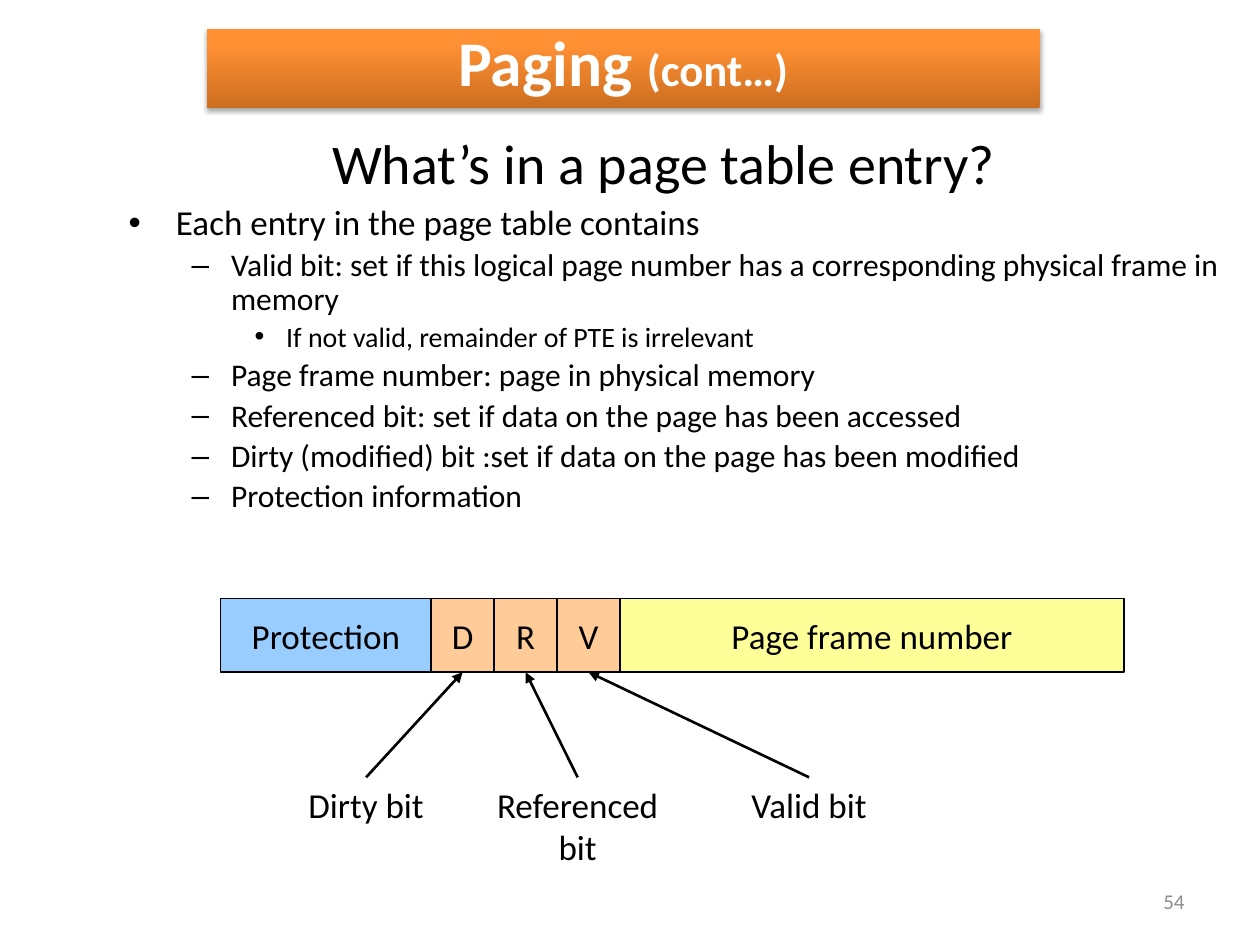
from copy import deepcopy
from dataclasses import dataclass

from lxml.etree import SubElement
from pptx import Presentation
from pptx.dml.color import RGBColor
from pptx.enum.shapes import MSO_CONNECTOR, MSO_SHAPE
from pptx.enum.text import MSO_ANCHOR, MSO_AUTO_SIZE, PP_ALIGN
from pptx.oxml.ns import qn
from pptx.util import Cm, Pt


@dataclass(frozen=True)
class Theme:
    font: str = "Calibri"
    ink: str = "000000"
    paper: str = "FFFFFF"
    muted: str = "8C8C8C"
    blue: str = "99CCFF"
    peach: str = "FFCC99"
    yellow: str = "FFFF99"
    glow: tuple = ((0, "CC6E20"), (0.8, "FF9034"), (1, "FF9136"))
    banner: float = 36.3
    cont: float = 25.6
    title: int = 32
    levels: tuple = (20, 18, 16)
    label: int = 20
    foot: int = 12


THEME = Theme()

POINTS = [
    (0, "Each entry in the page table contains"),
    (1, "Valid bit: set if this logical page number has a corresponding "
        "physical frame in memory"),
    (2, "If not valid, remainder of PTE is irrelevant"),
    (1, "Page frame number: page in physical memory"),
    (1, "Referenced bit: set if data on the page has been accessed"),
    (1, "Dirty (modified) bit :set if data on the page has been modified"),
    (1, "Protection information"),
]
FIELDS = [  # text, width in cm, fill
    ("Protection", 4.24, THEME.blue),
    ("D", 1.27, THEME.peach),
    ("R", 1.27, THEME.peach),
    ("V", 1.27, THEME.peach),
    ("Page frame number", 10.16, THEME.yellow),
]
NOTES = [  # field, text, left from the row, width, side inset in cm
    ("D", "Dirty bit", 1.47, 2.92, 0.25),
    ("R", "Referenced bit", 4.87, 4.65, 0.5),
    ("V", "Valid bit", 10.36, 3, 0.25),
]


def apply(item, **values):
    for name, value in values.items():
        setattr(item, name, value)


def place(shape, box):
    names = ("left", "top", "width", "height")
    apply(shape, **{name: Cm(part) for name, part in zip(names, box)})


def write(par, text, size, color=THEME.ink, bold=False):
    run = par.add_run()
    run.text = text
    apply(run.font, name=THEME.font, size=Pt(size), bold=bold)
    run.font.color.rgb = RGBColor.from_string(color)


def add_text(slide, box, text, size, color=THEME.ink, align=PP_ALIGN.CENTER,
             anchor=MSO_ANCHOR.TOP, inset=0.25):
    shape = slide.shapes.add_textbox(*map(Cm, box))
    frame = shape.text_frame
    apply(frame, word_wrap=True, vertical_anchor=anchor,
          margin_left=Cm(inset), margin_right=Cm(inset))
    frame.paragraphs[0].alignment = align
    write(frame.paragraphs[0], text, size, color)


def add_rect(slide, box):
    """Add a plain rectangle; return it with its centred first paragraph."""
    shape = slide.shapes.add_shape(MSO_SHAPE.RECTANGLE, *map(Cm, box))
    shape.shadow.inherit = False
    apply(shape.text_frame, word_wrap=False, vertical_anchor=MSO_ANCHOR.MIDDLE)
    par = shape.text_frame.paragraphs[0]
    par.alignment = PP_ALIGN.CENTER
    return shape, par


def add_title(slide, box):
    shape = slide.shapes.title
    place(shape, box)
    frame = shape.text_frame
    apply(frame, auto_size=MSO_AUTO_SIZE.NONE,
          vertical_anchor=MSO_ANCHOR.MIDDLE)
    frame.paragraphs[0].alignment = PP_ALIGN.CENTER
    write(frame.paragraphs[0], "What’s in a page table entry?", THEME.title)


def add_points(slide, box):
    shape = slide.placeholders[1]
    place(shape, box)
    frame = shape.text_frame
    frame.auto_size = MSO_AUTO_SIZE.NONE
    for i, (level, text) in enumerate(POINTS):
        par = frame.add_paragraph() if i else frame.paragraphs[0]
        apply(par, level=level, line_spacing=0.9)
        write(par, text, THEME.levels[level])


def add_arrow(slide, start, end):
    line = slide.shapes.add_connector(
        MSO_CONNECTOR.STRAIGHT, *map(Cm, start + end))
    line.line.width = Pt(1.5)
    line.line.color.rgb = RGBColor.from_string(THEME.ink)
    props = line.element.spPr
    SubElement(props.find(qn("a:ln")), qn("a:tailEnd"), type="triangle")
    SubElement(props, qn("a:effectLst"))


def add_entry(slide, box):
    """Draw the entry's row of fields, with notes pointing at its bits."""
    left, top, _, high = box
    row, mids, x = 1.48, {}, left
    for text, wide, fill in FIELDS:
        shape, par = add_rect(slide, (x, top, wide, row))
        shape.fill.solid()
        shape.fill.fore_color.rgb = RGBColor.from_string(fill)
        shape.line.width = Pt(0.75)
        shape.line.color.rgb = RGBColor.from_string(THEME.ink)
        write(par, text, THEME.label)
        mids[text] = x + wide / 2
        x += wide
    tall = 1.09
    base = top + high - tall
    for field, text, shift, wide, inset in NOTES:
        x = left + shift
        add_text(slide, (x, base, wide, tall), text, THEME.label, inset=inset)
        add_arrow(slide, (x + wide / 2, base), (mids[field], top + row))


def add_banner(slide, box):
    shape, par = add_rect(slide, box)
    shape.line.fill.background()
    shape.fill.gradient()
    shape.fill.gradient_angle = 90
    props = shape.element.spPr
    first = props.find(".//" + qn("a:gs"))
    first.addnext(deepcopy(first))
    for stop, (pos, color) in zip(shape.fill.gradient_stops, THEME.glow):
        stop.position = pos
        stop.color.rgb = RGBColor.from_string(color)
    shade = SubElement(props.find(qn("a:effectLst")), qn("a:outerShdw"),
                       blurRad=str(Pt(3.1)), dist=str(Pt(1.8)),
                       dir="5400000", rotWithShape="0")
    tone = SubElement(shade, qn("a:srgbClr"), val=THEME.ink)
    SubElement(tone, qn("a:alpha"), val="35000")
    par.line_spacing = 0.8
    write(par, "Paging ", THEME.banner, THEME.paper, True)
    write(par, "(cont…)", THEME.cont, THEME.paper, True)


def main():
    deck = Presentation()
    apply(deck, slide_width=Cm(25.4), slide_height=Cm(19.05))
    slide = deck.slides.add_slide(deck.slide_layouts[1])
    add_text(slide, (18.21, 17.65, 5.92, 1.02), "54", THEME.foot, THEME.muted,
             PP_ALIGN.RIGHT, MSO_ANCHOR.MIDDLE)
    add_title(slide, (2.59, 2.77, 21.59, 0.99))
    add_points(slide, (2.34, 4.01, 22.56, 6.65))
    add_entry(slide, (4.45, 12.07, 18.21, 4.69))
    add_banner(slide, (4.17, 0.58, 16.79, 1.6))
    deck.save("out.pptx")


if __name__ == "__main__":
    main()
